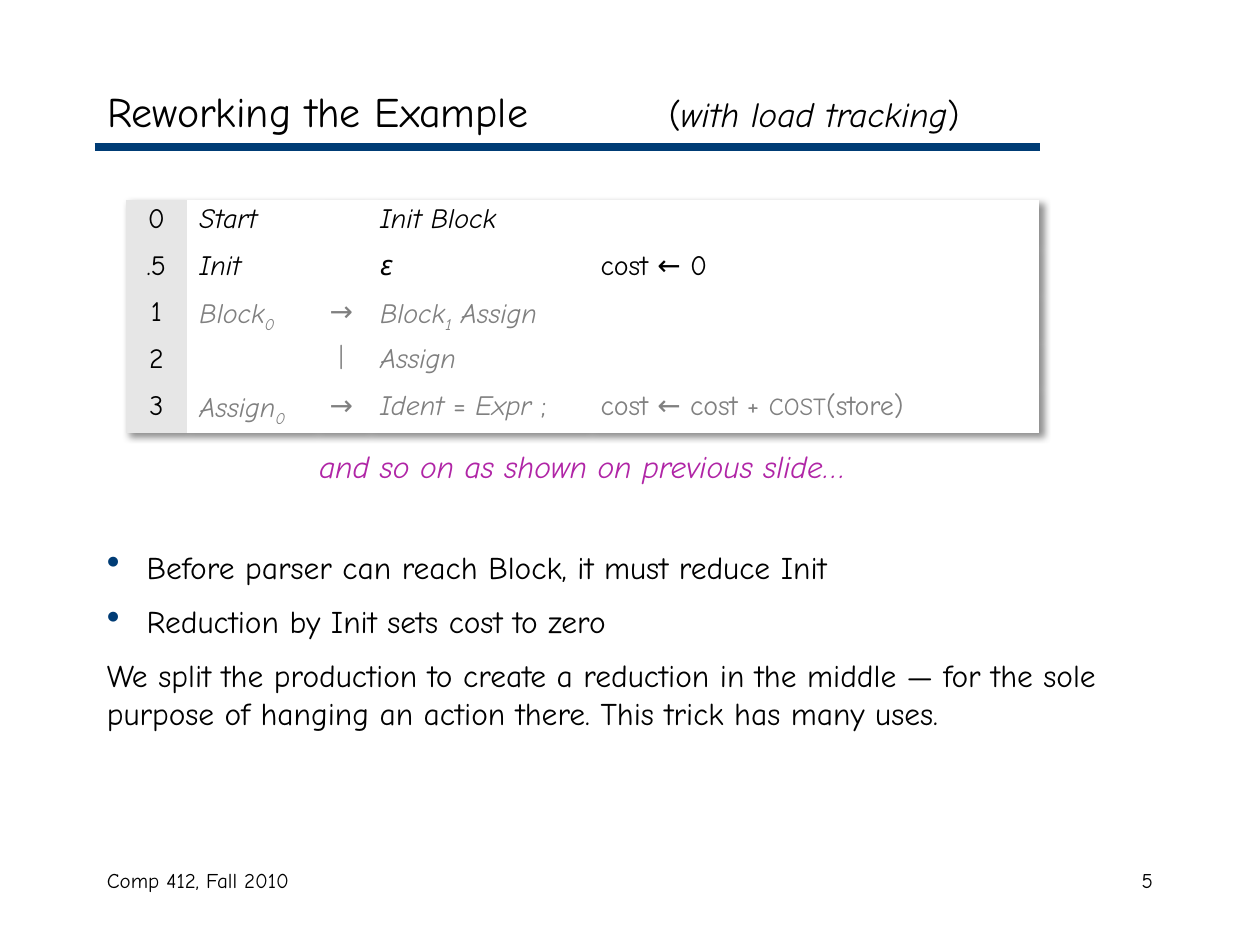
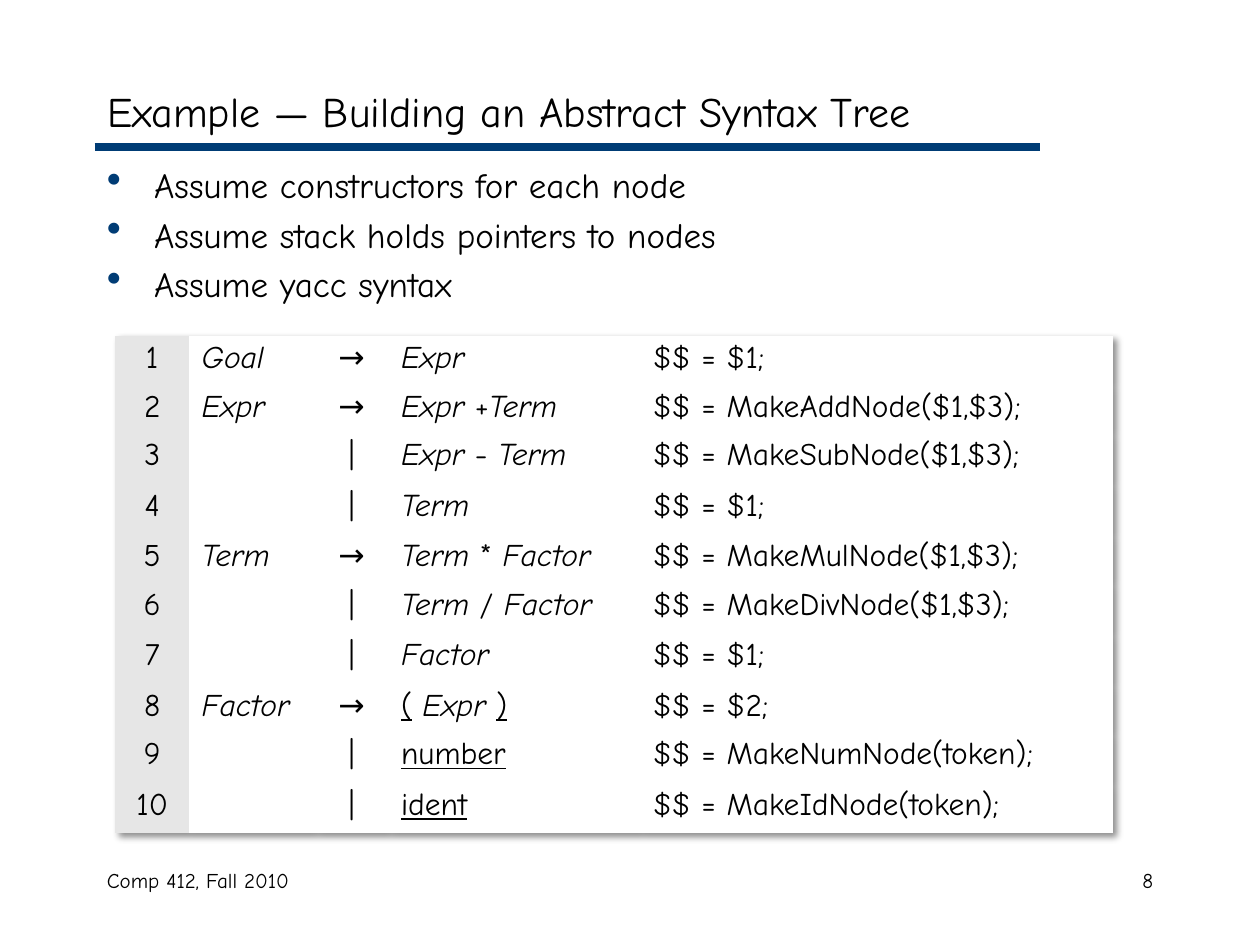
import dataclasses
import typing

import lxml.etree
import pptx
import pptx.dml.color
import pptx.enum.shapes
import pptx.enum.text
import pptx.oxml.ns
import pptx.util

ALIGN = pptx.enum.text.PP_ALIGN
WIDE = pptx.util.Inches(10)
HIGH = pptx.util.Inches(7.5)
COLS = 120
ROWS = 90


@dataclasses.dataclass(frozen=True)
class Theme:
    font: str = "Comic Neue"
    ink: str = "000000"
    gray: str = "808080"
    navy: str = "003C75"
    plum: str = "B025A6"
    white: str = "FFFFFF"
    band: str = "E6E6E6"
    title: float = 24
    large: float = 20
    body: float = 18
    small: float = 16
    tiny: float = 14
    foot: float = 12
    bar: float = 4.5


THEME = Theme()


class Box(typing.NamedTuple):
    left: float
    top: float
    width: float
    height: float


class Bit(typing.NamedTuple):
    text: str
    slant: bool = False
    under: bool = False
    low: bool = False
    size: float = 0
    tone: str = ""


class Line(typing.NamedTuple):
    bits: list[Bit]
    align: ALIGN = ALIGN.LEFT
    space: float = 0
    indent: float = 0


class Rule(typing.NamedTuple):
    num: str
    left: list[Bit]
    mark: str
    right: list[Bit]
    act: list[Bit]
    tone: str = THEME.ink


class Grid(typing.NamedTuple):
    box: Box
    cols: list[float]
    rules: list[Rule]
    size: float
    bar: float


def across(cols: float) -> int:
    return round(WIDE * cols / COLS)


def down(rows: float) -> int:
    return round(HIGH * rows / ROWS)


def place(box: Box) -> tuple[int, int, int, int]:
    return across(box.left), down(box.top), across(box.width), down(box.height)


def hue(code: str) -> pptx.dml.color.RGBColor:
    return pptx.dml.color.RGBColor.from_string(code)


def node(root, tag: str, **attrs: str):
    return lxml.etree.SubElement(root, pptx.oxml.ns.qn(tag), attrs)


def plain(text: str, **more) -> list[Bit]:
    return [Bit(text, **more)]


def slant(text: str) -> list[Bit]:
    return plain(text, slant=True)


def under(text: str) -> list[Bit]:
    return plain(text, under=True)


def low(text: str) -> list[Bit]:
    return plain(text, slant=True, low=True)


def write(para, line: Line, size: float, tone: str = THEME.ink) -> None:
    para.alignment = line.align
    if line.space:
        para.space_before = pptx.util.Pt(line.space)
    for bit in line.bits:
        run = para.add_run()
        run.text = bit.text
        font = run.font
        font.name = THEME.font
        font.size = pptx.util.Pt(bit.size or size)
        font.color.rgb = hue(bit.tone or tone)
        font.italic = bit.slant
        font.underline = bit.under
        if bit.low:
            run._r.get_or_add_rPr().set("baseline", "-25000")


def bullet(para, indent: float) -> None:
    props = para._p.get_or_add_pPr()
    props.set("marL", str(across(indent)))
    props.set("indent", str(-across(indent)))
    node(node(props, "a:buClr"), "a:srgbClr", val=THEME.navy)
    node(props, "a:buSzPct", val="120000")
    node(props, "a:buChar", char="•")


def add_text(slide, box: Box, lines: list[Line], size: float, tone: str = THEME.ink) -> None:
    frame = slide.shapes.add_textbox(*place(box)).text_frame
    frame.word_wrap = True
    for i, line in enumerate(lines):
        para = frame.add_paragraph() if i else frame.paragraphs[0]
        if line.indent:
            bullet(para, line.indent)
        write(para, line, size, tone)


def add_slide(deck, title: list[Bit], page: str):
    slide = deck.slides.add_slide(deck.slide_layouts[5])
    head = slide.shapes.title
    head.left, head.top, head.width, head.height = place(Box(9, 7, 102, 7))
    frame = head.text_frame
    frame.auto_size = pptx.enum.text.MSO_AUTO_SIZE.NONE
    frame.vertical_anchor = pptx.enum.text.MSO_ANCHOR.MIDDLE
    para = frame.paragraphs[0]
    tabs = node(para._p.get_or_add_pPr(), "a:tabLst")
    node(tabs, "a:tab", pos=str(across(53.5)), algn="l")
    write(para, Line(title), THEME.title)

    bar = slide.shapes.add_connector(
        pptx.enum.shapes.MSO_CONNECTOR.STRAIGHT, across(9), down(14), across(99), down(14)
    )
    bar.line.color.rgb = hue(THEME.navy)
    bar.line.width = pptx.util.Pt(THEME.bar)
    node(bar._element.spPr, "a:effectLst")

    add_text(slide, Box(9, 82, 38, 6), [Line(plain("Comp 412, Fall 2010"))], THEME.foot)
    add_text(slide, Box(86, 82, 25, 6), [Line(plain(page), ALIGN.RIGHT)], THEME.foot)
    return slide


def shade(table) -> None:
    props = table._tbl.tblPr
    style = props.find(pptx.oxml.ns.qn("a:tableStyleId"))
    style.text = "{2D5ABB26-0587-4C30-8999-92F81FD0307C}"
    glow = node(props, "a:effectLst")
    style.addprevious(glow)
    drop = node(glow, "a:outerShdw", blurRad="50800", dist="38100", dir="2700000", algn="tl")
    node(node(drop, "a:srgbClr", val=THEME.ink), "a:alpha", val="43000")


def add_grid(slide, grid: Grid) -> None:
    table = slide.shapes.add_table(len(grid.rules), len(grid.cols), *place(grid.box)).table
    table.first_row = table.horz_banding = False
    shade(table)
    for col, width in zip(table.columns, grid.cols):
        col.width = across(width)
    for i, rule in enumerate(grid.rules):
        table.rows[i].height = down(grid.box.height / len(grid.rules))
        mark = plain(rule.mark, size=grid.bar if rule.mark == "|" else grid.size)
        parts = [
            plain(rule.num, tone=THEME.ink),
            rule.left,
            mark if rule.mark else [],
            rule.right,
            rule.act,
        ]
        for j, bits in enumerate(parts):
            cell = table.cell(i, j)
            cell.fill.solid()
            cell.fill.fore_color.rgb = hue(THEME.white if j else THEME.band)
            para = cell.text_frame.paragraphs[0]
            para.line_spacing = 0.9
            align = ALIGN.CENTER if j in (0, 2) else ALIGN.LEFT
            write(para, Line(bits, align), grid.size, rule.tone)
            if not bits:
                node(para._p, "a:endParaRPr", sz=str(round(grid.size * 100)))


def add_load(deck) -> None:
    title = plain("Reworking the Example\t") + [
        Bit("(", size=THEME.large),
        Bit("with load tracking", slant=True, size=THEME.large),
        Bit(")", size=THEME.large),
    ]
    slide = add_slide(deck, title, "5")
    points = [
        Line(plain("Before parser can reach Block, it must reduce Init"), indent=3.8),
        Line(plain("Reduction by Init sets cost to zero"), space=9.4, indent=3.8),
        Line(
            plain(
                "We split the production to create a reduction in the middle — for the sole "
                "purpose of hanging an action there. This trick has many uses."
            ),
            space=9.4,
        ),
    ]
    add_text(slide, Box(9, 51.6, 101, 19.4), points, THEME.body)
    store = plain("cost ← cost + ") + plain("COST", size=THEME.tiny) + plain("(store)")
    ident = slant("Ident ") + plain("= ") + slant("Expr ") + plain(";")
    block = slant("Block") + low("1") + slant(" Assign")
    rules = [
        Rule("0", slant("Start"), "", slant("Init Block"), []),
        Rule(".5", slant("Init"), "", slant("ε"), plain("cost ← 0")),
        Rule("1", slant("Block") + low("0"), "→", block, [], THEME.gray),
        Rule("2", [], "|", slant("Assign"), [], THEME.gray),
        Rule("3", slant("Assign") + low("0"), "→", ident, store, THEME.gray),
    ]
    cols = [5.8, 12.2, 5, 21, 43]
    add_grid(slide, Grid(Box(12, 19, 87, 22.1), cols, rules, THEME.small, THEME.tiny))
    note = Line(slant("and so on as shown on previous slide…"), ALIGN.CENTER)
    add_text(slide, Box(24, 42, 63, 8.5), [note], THEME.body, THEME.plum)


def add_tree(deck) -> None:
    slide = add_slide(deck, plain("Example — Building an Abstract Syntax Tree"), "8")
    points = [
        "Assume constructors for each node",
        "Assume stack holds pointers to nodes",
        "Assume yacc syntax",
    ]
    lines = [Line(plain(text), space=4.2 if i else 0, indent=4.5) for i, text in enumerate(points)]
    add_text(slide, Box(9, 15, 102, 65), lines, THEME.large)
    group = under("(") + plain(" ") + slant("Expr ") + under(")")
    prods = [
        ("Goal", slant("Expr"), "$1"),
        ("Expr", slant("Expr ") + plain("+") + slant("Term"), "MakeAddNode($1,$3)"),
        ("", slant("Expr ") + plain("- ") + slant("Term"), "MakeSubNode($1,$3)"),
        ("", slant("Term"), "$1"),
        ("Term", slant("Term ") + plain("*") + slant(" Factor"), "MakeMulNode($1,$3)"),
        ("", slant("Term ") + plain("/") + slant(" Factor"), "MakeDivNode($1,$3)"),
        ("", slant("Factor"), "$1"),
        ("Factor", group, "$2"),
        ("", under("number"), "MakeNumNode(token)"),
        ("", under("ident"), "MakeIdNode(token)"),
    ]
    rules = [
        Rule(
            str(num),
            slant(left) if left else [],
            "→" if left else "|",
            right,
            plain(f"$$ = {act};"),
        )
        for num, (left, right, act) in enumerate(prods, 1)
    ]
    cols = [7, 12, 7, 24, 45]
    add_grid(slide, Grid(Box(11, 32, 95, 46.3), cols, rules, THEME.body, THEME.body))


def main() -> None:
    deck = pptx.Presentation()
    deck.slide_width = WIDE
    deck.slide_height = HIGH
    add_load(deck)
    add_tree(deck)
    deck.save("out.pptx")


if __name__ == "__main__":
    main()
